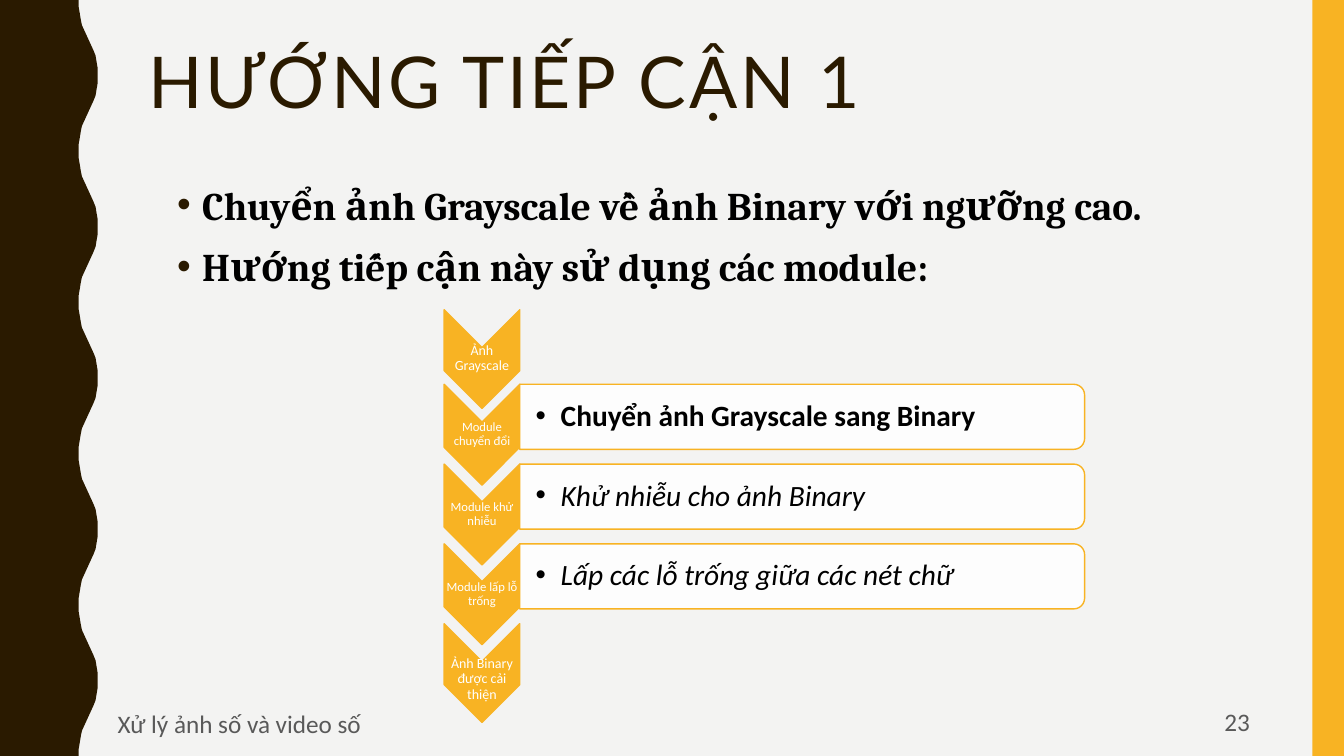
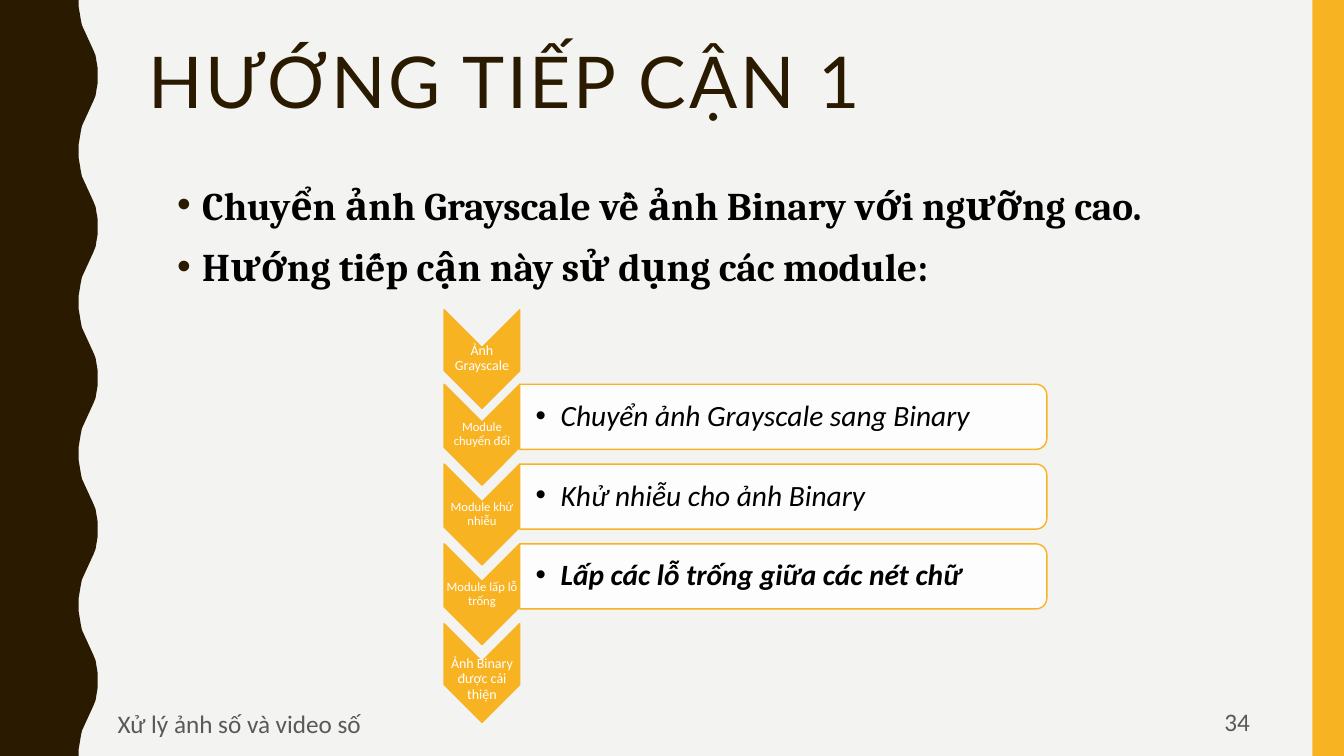
from dataclasses import dataclass
from typing import Any, NamedTuple, Optional

from lxml import etree
from pptx import Presentation
from pptx.dml.color import RGBColor
from pptx.enum.shapes import MSO_SHAPE
from pptx.enum.text import MSO_ANCHOR, MSO_AUTO_SIZE, PP_ALIGN
from pptx.oxml.ns import qn
from pptx.util import Pt

CHEVRON, BAR = MSO_SHAPE.CHEVRON, MSO_SHAPE.ROUND_2_SAME_RECTANGLE
RECTANGLE = MSO_SHAPE.RECTANGLE
TOP, MIDDLE = MSO_ANCHOR.TOP, MSO_ANCHOR.MIDDLE
LEFT, CENTER, RIGHT = PP_ALIGN.LEFT, PP_ALIGN.CENTER, PP_ALIGN.RIGHT
NO_AUTOFIT = MSO_AUTO_SIZE.NONE

EMU_PER_PX = 9525
SLIDE_WIDTH, SLIDE_HEIGHT = 1280, 720
BACKGROUND, BROWN, AMBER = "F3F3F2", "2A1A00", "F8B323"
WHITE, BLACK, GRAY = "FFFFFF", "000000", "595959"

WAVE_PERIOD = 144
WAVE_HALF = ((0, 75), (7, 75), (13, 76), (19, 77), (24, 78),
             (48, 89), (53, 91), (59, 92), (65, 93), (72, 93))

CHEVRON_LEFT, CHEVRON_WIDTH = 423, 72
BAR_LEFT, BAR_HEIGHT = 495, 62
ROW_TOP, ROW_PITCH = 366, 76
LABEL_HEIGHT = 28
INDENT = 24


class Box(NamedTuple):
    left: int
    top: int
    width: int
    height: int


@dataclass(frozen=True)
class TextStyle:
    font: dict[str, Any]
    color: str
    paragraph: dict[str, Any]
    frame: dict[str, Any]
    bullet: Optional[str] = None
    gap: int = 0
    tracking: int = 0


@dataclass(frozen=True)
class Step:
    label: str
    top: int
    height: int
    label_center: int
    size: int
    detail: str = ""


@dataclass(frozen=True)
class SlideContent:
    number: str
    bar_width: int
    emphasis: tuple[dict[str, bool], ...]


def px(length: int) -> int:
    return length * EMU_PER_PX


def color(value: str) -> RGBColor:
    return RGBColor.from_string(value)


def apply(target: Any, values: dict[str, Any]) -> None:
    for name, value in values.items():
        setattr(target, name, value)


def margins(left: int, other: int) -> dict[str, int]:
    return {"margin_left": px(left), "margin_right": px(other),
            "margin_top": px(other), "margin_bottom": px(other)}


FRAME = {"word_wrap": True, "auto_size": NO_AUTOFIT}
FOOTER_FONT = {"name": "Calibri", "size": Pt(18)}
FOOTER_FRAME = FRAME | {"vertical_anchor": MIDDLE}

TITLE_STYLE = TextStyle({"name": "Lato", "size": Pt(51)}, BROWN,
                        {"alignment": LEFT, "line_spacing": 0.9},
                        FRAME | {"vertical_anchor": TOP}, tracking=200)
BODY_STYLE = TextStyle({"name": "Cambria", "size": Pt(28), "bold": True}, BLACK,
                       {"alignment": LEFT, "line_spacing": 1.1},
                       FRAME | {"vertical_anchor": TOP}, bullet=BROWN, gap=7)
FOOTER_STYLE = TextStyle(FOOTER_FONT, GRAY, {"alignment": CENTER}, FOOTER_FRAME)
NUMBER_STYLE = TextStyle(FOOTER_FONT, GRAY, {"alignment": RIGHT}, FOOTER_FRAME)


def label_style(size: int) -> TextStyle:
    return TextStyle({"name": "Calibri", "size": Pt(size)}, WHITE,
                     {"alignment": CENTER, "line_spacing": 0.9},
                     FOOTER_FRAME | margins(1, 1))


def detail_style(emphasis: dict[str, bool]) -> TextStyle:
    return TextStyle({"name": "Calibri", "size": Pt(21)} | emphasis, BLACK,
                     {"alignment": LEFT, "line_spacing": 0.9},
                     FOOTER_FRAME | margins(15, 1), bullet=BLACK)


def add_bullet(paragraph: Any, bullet_color: str) -> None:
    properties = paragraph._p.get_or_add_pPr()
    properties.set("marL", str(px(INDENT)))
    properties.set("indent", str(-px(INDENT)))
    fill = etree.SubElement(properties, qn("a:buClr"))
    etree.SubElement(fill, qn("a:srgbClr"), val=bullet_color)
    etree.SubElement(properties, qn("a:buFont"), typeface="Arial")
    etree.SubElement(properties, qn("a:buChar"), char="•")


def write_text(shape: Any, lines: tuple[str, ...], style: TextStyle) -> None:
    frame = shape.text_frame
    apply(frame, style.frame)
    for index, line in enumerate(lines):
        paragraph = frame.add_paragraph() if index else frame.paragraphs[0]
        if style.bullet:
            add_bullet(paragraph, style.bullet)
        apply(paragraph, style.paragraph)
        paragraph.space_before = Pt(style.gap if index else 0)
        run = paragraph.add_run()
        run.text = line
        apply(run.font, style.font)
        run.font.color.rgb = color(style.color)
        if style.tracking:
            run._r.get_or_add_rPr().set("spc", str(style.tracking))


def place(shape: Any, box: Box) -> None:
    apply(shape, {name: px(length) for name, length in box._asdict().items()})


def add_text(shapes: Any, box: Box, text: str, style: TextStyle) -> None:
    write_text(shapes.add_textbox(*map(px, box)), (text,), style)


def paint(shape: Any, fill: str, line: Optional[str] = None) -> None:
    shape.shadow.inherit = False
    shape.fill.solid()
    shape.fill.fore_color.rgb = color(fill)
    if line:
        shape.line.color.rgb = color(line)
        shape.line.width = Pt(1)
    else:
        shape.line.fill.background()


def add_turned(shapes: Any, preset: Any, box: Box, fill: str) -> Any:
    shift = (box.width - box.height) // 2
    turned = Box(box.left + shift, box.top - shift, box.height, box.width)
    shape = shapes.add_shape(preset, *map(px, turned))
    shape.rotation = 90
    paint(shape, fill, AMBER)
    return shape


def wave_points() -> list[tuple[int, int]]:
    falling = [(WAVE_PERIOD - y, x) for y, x in reversed(WAVE_HALF[:-1])]
    period = list(WAVE_HALF) + falling
    return [(x, start + y) for start in range(0, SLIDE_HEIGHT, WAVE_PERIOD)
            for y, x in period]


def decorate_master(presentation: Any, slide: Any) -> None:
    master = presentation.slide_master
    master.background.fill.solid()
    master.background.fill.fore_color.rgb = color(BACKGROUND)
    builder = slide.shapes.build_freeform(0, 0, scale=EMU_PER_PX)
    builder.add_line_segments(wave_points() + [(0, SLIDE_HEIGHT)], close=True)
    wave = builder.convert_to_shape()
    paint(wave, BROWN)
    band = slide.shapes.add_shape(RECTANGLE, *map(px, Box(1250, 0, 30, SLIDE_HEIGHT)))
    paint(band, AMBER)
    for offset, shape in enumerate((wave, band)):
        shape.element.nvSpPr.cNvPr.set("id", str(101 + offset))
        master.shapes.element.insert(2 + offset, shape.element)


STEPS = (
    Step("Ảnh Grayscale", 295, 94, 46, 10),
    *(Step(label, ROW_TOP + row * ROW_PITCH, 96, 48, 9, detail)
      for row, (label, detail) in enumerate((
          ("Module chuyển đổi", "Chuyển ảnh Grayscale sang Binary"),
          ("Module khử nhiễu", "Khử nhiễu cho ảnh Binary"),
          ("Module lấp lỗ trống", "Lấp các lỗ trống giữa các nét chữ")))),
    Step("Ảnh Binary được cải thiện", ROW_TOP + 3 * ROW_PITCH, 94, 53, 10),
)

ITALIC = {"italic": True}
SLIDES = (
    SlideContent("23", 538, ({"bold": True}, ITALIC, ITALIC)),
    SlideContent("34", 502, (ITALIC, ITALIC, ITALIC | {"bold": True})),
)
TITLE = "HƯỚNG TIẾP CẬN 1"
BODY = ("Chuyển ảnh Grayscale về ảnh Binary với ngưỡng cao.",
        "Hướng tiếp cận này sử dụng các module:")
FOOTER = "Xử lý ảnh số và video số"


def add_detail(shapes: Any, step: Step, width: int, emphasis: dict[str, bool]) -> None:
    bar = add_turned(shapes, BAR, Box(BAR_LEFT, step.top, width, BAR_HEIGHT), WHITE)
    fill = bar.element.spPr.find(qn("a:solidFill")).find(qn("a:srgbClr"))
    etree.SubElement(fill, qn("a:alpha"), val="90000")
    text_box = Box(BAR_LEFT, step.top + 3, width - 3, BAR_HEIGHT - 6)
    add_text(shapes, text_box, step.detail, detail_style(emphasis))


def add_diagram(slide: Any, content: SlideContent) -> None:
    shapes = slide.shapes.add_group_shape().shapes
    emphasis = iter(content.emphasis)
    for step in STEPS:
        box = Box(CHEVRON_LEFT, step.top, CHEVRON_WIDTH, step.height)
        add_turned(shapes, CHEVRON, box, AMBER)
        label_top = step.top + step.label_center - LABEL_HEIGHT // 2
        label_box = Box(CHEVRON_LEFT, label_top, CHEVRON_WIDTH, LABEL_HEIGHT)
        add_text(shapes, label_box, step.label, label_style(step.size))
        if step.detail:
            add_detail(shapes, step, content.bar_width, next(emphasis))


def add_slide(presentation: Any, content: SlideContent) -> Any:
    slide = presentation.slides.add_slide(presentation.slide_layouts[1])
    title, body = slide.shapes.title, slide.placeholders[1]
    place(title, Box(132, 40, 1068, 156))
    write_text(title, (TITLE,), TITLE_STYLE)
    place(body, Box(159, 163, 1013, 120))
    write_text(body, BODY, BODY_STYLE)
    add_text(slide.shapes, Box(12, 671, 432, 36), FOOTER, FOOTER_STYLE)
    add_text(slide.shapes, Box(904, 669, 296, 36), content.number, NUMBER_STYLE)
    add_diagram(slide, content)
    return slide


def main() -> None:
    presentation = Presentation()
    presentation.slide_width = px(SLIDE_WIDTH)
    presentation.slide_height = px(SLIDE_HEIGHT)
    slides = [add_slide(presentation, content) for content in SLIDES]
    decorate_master(presentation, slides[0])
    presentation.save("out.pptx")


if __name__ == "__main__":
    main()
